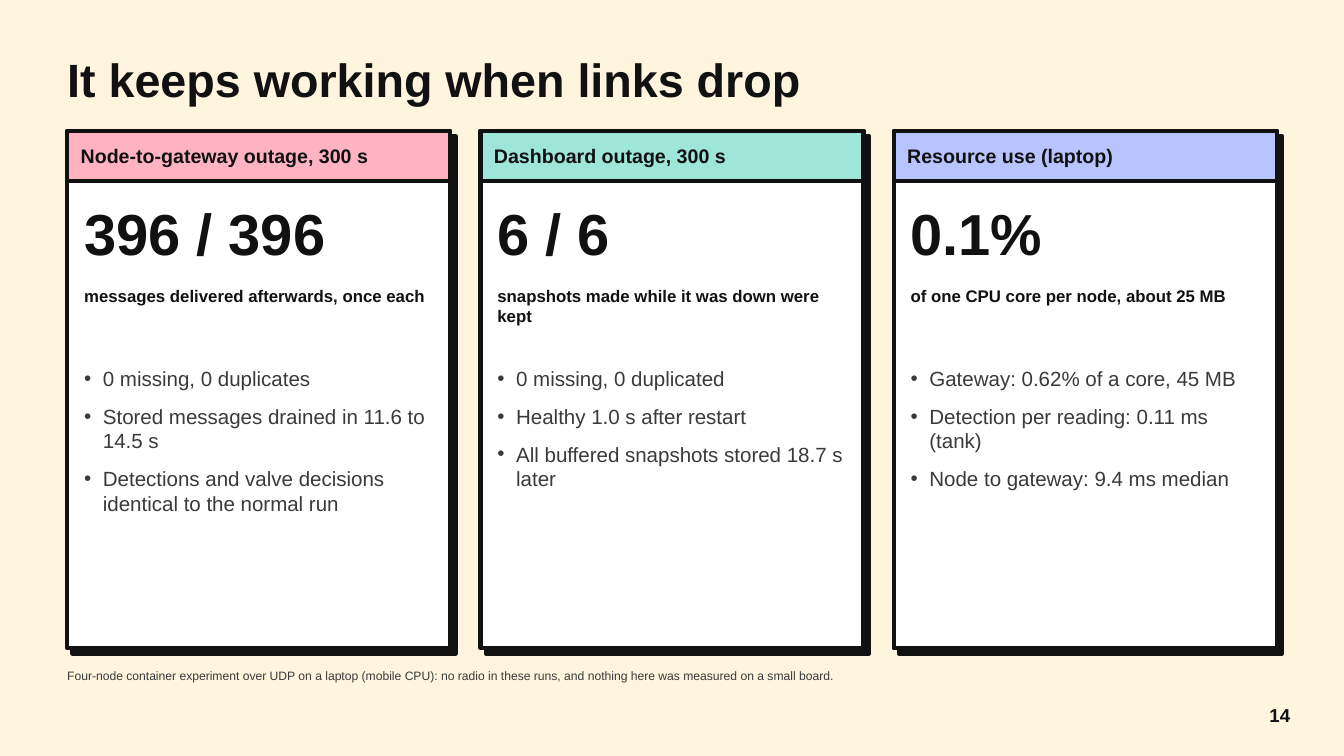
"""Build a slide of three outage and resource result cards."""
from lxml import etree
from pptx import Presentation
from pptx.dml.color import RGBColor
from pptx.enum.shapes import MSO_SHAPE
from pptx.enum.text import MSO_ANCHOR, MSO_AUTO_SIZE, PP_ALIGN
from pptx.oxml.ns import qn
from pptx.util import Cm, Pt

RECT = MSO_SHAPE.RECTANGLE
TOP, MID = MSO_ANCHOR.TOP, MSO_ANCHOR.MIDDLE
LEFT, RIGHT = PP_ALIGN.LEFT, PP_ALIGN.RIGHT
FIXED = MSO_AUTO_SIZE.NONE

CREAM = RGBColor(0xFF, 0xF4, 0xDE)
INK = RGBColor(0x11, 0x11, 0x11)
GRAY = RGBColor(0x3A, 0x3A, 0x3A)
WHITE = RGBColor(0xFF, 0xFF, 0xFF)
PINK = RGBColor(0xFF, 0xB3, 0xC1)
MINT = RGBColor(0x9D, 0xE6, 0xD8)
BLUE = RGBColor(0xB8, 0xC4, 0xFF)

EDGE, WIDE = 2.54, 45.72
CARD_TOP, CARD_W, CARD_H, HEAD_H = 4.95, 14.48, 19.56, 1.9
STEP = 15.62

CARDS = [
    (PINK, "Node-to-gateway outage, 300 s", "396 / 396",
     "messages delivered afterwards, once each",
     ["0 missing, 0 duplicates",
      "Stored messages drained in 11.6 to 14.5 s",
      "Detections and valve decisions identical to the normal run"]),
    (MINT, "Dashboard outage, 300 s", "6 / 6",
     "snapshots made while it was down were kept",
     ["0 missing, 0 duplicated",
      "Healthy 1.0 s after restart",
      "All buffered snapshots stored 18.7 s later"]),
    (BLUE, "Resource use (laptop)", "0.1%",
     "of one CPU core per node, about 25 MB",
     ["Gateway: 0.62% of a core, 45 MB",
      "Detection per reading: 0.11 ms (tank)",
      "Node to gateway: 9.4 ms median"]),
]
NOTE = ("Four-node container experiment over UDP on a laptop (mobile CPU): no radio "
        "in these runs, and nothing here was measured on a small board.")


def write(frame, *lines, size, color=INK, bold=True, align=LEFT,
          anchor=TOP, after=4, dot=False):
    """Fill a text frame with one paragraph per line."""
    frame.word_wrap = True
    frame.auto_size = FIXED
    frame.vertical_anchor = anchor
    frame.margin_left = frame.margin_right = 0
    frame.margin_top = frame.margin_bottom = 0
    for i, line in enumerate(lines):
        para = frame.add_paragraph() if i else frame.paragraphs[0]
        para.alignment = align
        para.space_before, para.space_after = Pt(0), Pt(after)
        if dot:
            props = para._p.get_or_add_pPr()
            props.set("marL", str(Cm(0.71)))
            props.set("indent", str(-Cm(0.71)))
            etree.SubElement(props, qn("a:buChar"), char="•")
        run = para.add_run()
        run.text = line
        font = run.font
        font.name, font.size, font.bold = "Arial", Pt(size), bold
        font.color.rgb = color


class Deck:
    """Hold the slide and draw its elements in one style."""

    def __init__(self):
        """Open a slide with a title and spare body holders."""
        self.file = Presentation()
        self.file.slide_width, self.file.slide_height = Cm(50.8), Cm(28.58)
        self.slide = self.file.slides.add_slide(self.file.slide_layouts[4])
        self.slide.background.fill.solid()
        self.slide.background.fill.fore_color.rgb = CREAM
        self.spare = list(self.slide.placeholders)[1:]

    def place(self, holder, box):
        """Move a holder to a box, in front of all else."""
        holder.left, holder.top, holder.width, holder.height = map(Cm, box)
        self.slide.shapes._spTree.append(holder._element)
        return holder.text_frame

    def title(self, text, *box):
        """Set the slide title."""
        frame = self.place(self.slide.shapes.title, box)
        write(frame, text, size=50, anchor=MID)

    def points(self, lines, *box):
        """Set a bullet list in the next body holder."""
        frame = self.place(self.spare.pop(0), box)
        write(frame, *lines, size=22, color=GRAY, bold=False, after=14, dot=True)

    def text(self, line, *box, **look):
        """Add a text box."""
        frame = self.slide.shapes.add_textbox(*map(Cm, box)).text_frame
        write(frame, line, **look)

    def panel(self, fill, *box, shade=False):
        """Add an outlined block, with a hard shadow if asked."""
        block = self.slide.shapes.add_shape(RECT, *map(Cm, box))
        block.fill.solid()
        block.fill.fore_color.rgb = fill
        block.line.color.rgb = INK
        block.line.width = Pt(4.5)
        block.shadow.inherit = False
        if shade:
            list_ = block._element.spPr.find(qn("a:effectLst"))
            cast = etree.SubElement(
                list_, qn("a:outerShdw"), blurRad="0", dist=str(Pt(8)),
                dir="2700000", algn="tl", rotWithShape="0")
            etree.SubElement(cast, qn("a:srgbClr"), val=str(INK))

    def card(self, x, fill, head, stat, label, lines):
        """Add a result card."""
        self.panel(WHITE, x, CARD_TOP, CARD_W, CARD_H, shade=True)
        self.panel(fill, x, CARD_TOP, CARD_W, HEAD_H)
        self.text(head, x + 0.51, CARD_TOP, 13.46, HEAD_H, size=21, anchor=MID)
        left, width = x + 0.64, 13.21
        self.text(stat, left, 7.49, width, 3.05, size=62)
        self.text(label, left, 10.8, width, 2.29, size=18)
        self.points(lines, left, 13.84, width, 10.41)

    def save(self):
        """Drop unused holders and save the file."""
        for holder in self.spare:
            self.slide.shapes._spTree.remove(holder._element)
        self.file.save("out.pptx")


def main():
    """Draw the slide."""
    deck = Deck()
    deck.title("It keeps working when links drop", EDGE, 1.42, WIDE, 3.15)
    for i, card in enumerate(CARDS):
        deck.card(EDGE + i * STEP, *card)
    deck.text(NOTE, EDGE, 25.27, WIDE, 1.52, size=13, color=GRAY, bold=False)
    deck.text("14", 46.74, 26.62, 2.03, 1.04, size=20, align=RIGHT)
    deck.save()


if __name__ == "__main__":
    main()
